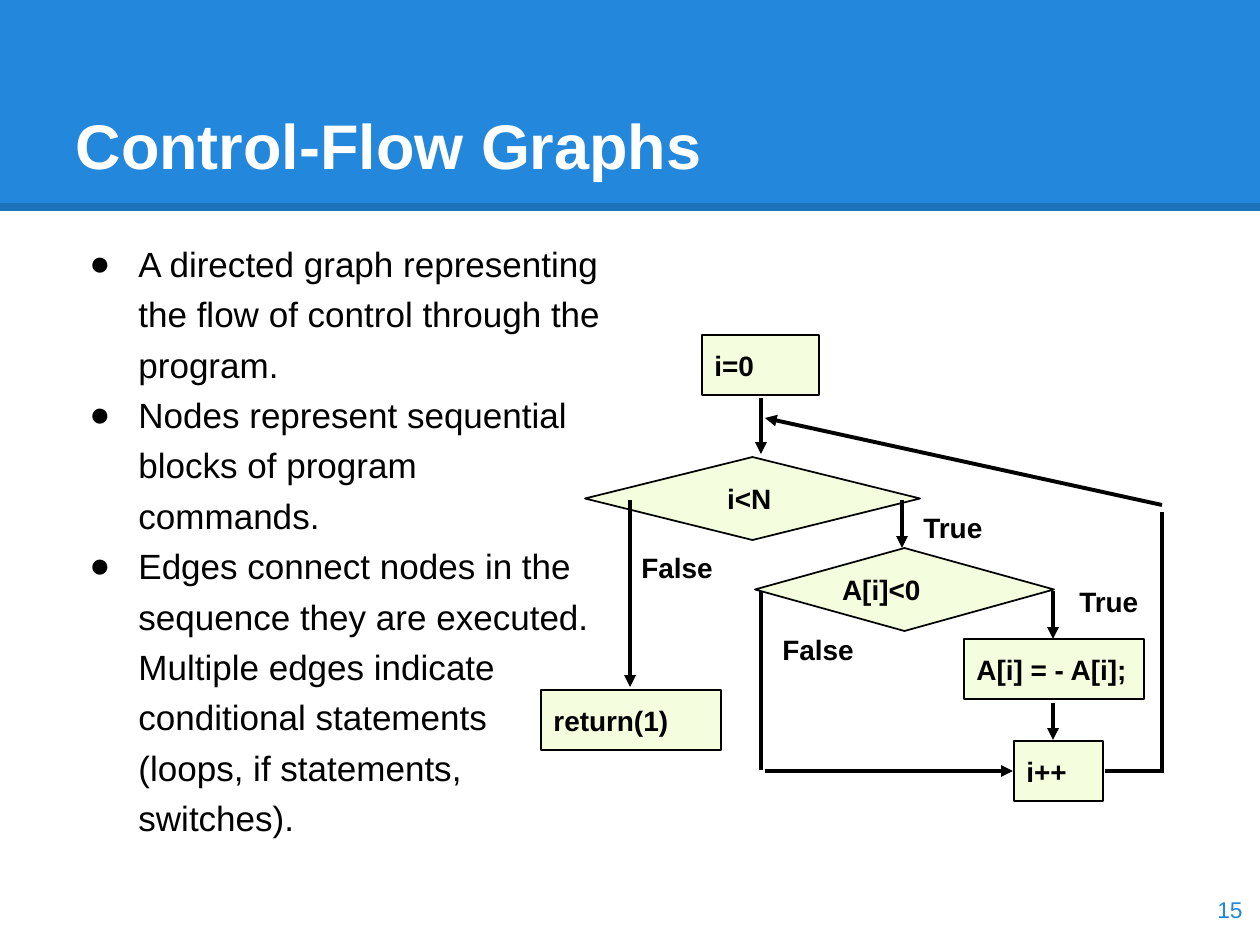
"""Build the control-flow graph slide."""
from dataclasses import dataclass

from lxml.etree import SubElement
from pptx import Presentation
from pptx.dml.color import RGBColor
from pptx.enum.shapes import MSO_CONNECTOR as Connector, MSO_SHAPE as Preset
from pptx.enum.text import MSO_ANCHOR as Anchor, MSO_AUTO_SIZE as AutoSize, PP_ALIGN as Align
from pptx.oxml.ns import qn
from pptx.util import Emu, Pt

BLUE = RGBColor(0x23, 0x88, 0xDB)
PALE = RGBColor(0xF4, 0xFE, 0xDE)
BLACK = RGBColor(0, 0, 0)
WHITE = RGBColor(0xFF, 0xFF, 0xFF)
FONT = "Arial"
EMU_PER_PX = 914400 / 126


@dataclass(frozen=True)
class Box:
    left: int
    top: int
    width: int
    height: int


@dataclass(frozen=True)
class Node:
    text: str
    box: Box
    preset: Preset = Preset.RECTANGLE
    indent: int = 0


@dataclass(frozen=True)
class Edge:
    start: tuple[int, int]
    end: tuple[int, int]
    arrow: bool = True


NODES = [
    Node("i=0", Box(702, 335, 117, 60)),
    Node("i<N", Box(585, 457, 335, 83), Preset.DIAMOND, 46),
    Node("A[i]<0", Box(755, 548, 299, 83), Preset.DIAMOND),
    Node("A[i] = - A[i];", Box(964, 639, 180, 60)),
    Node("return(1)", Box(541, 690, 180, 60)),
    Node("i++", Box(1014, 741, 89, 60)),
]
EDGES = [
    Edge((761, 398), (761, 454)),
    Edge((902, 500), (902, 548)),
    Edge((630, 500), (630, 687)),
    Edge((1053, 591), (1053, 639)),
    Edge((1053, 703), (1053, 740)),
    Edge((761, 591), (761, 770), arrow=False),
    Edge((765, 771), (1013, 771)),
    Edge((1105, 771), (1164, 771), arrow=False),
    Edge((1162, 771), (1162, 512), arrow=False),
    Edge((1162, 505), (765, 418)),
]
LABELS = [
    ("True", Box(911, 504, 117, 44)),
    ("False", Box(629, 544, 117, 44)),
    ("True", Box(1067, 578, 117, 44)),
    ("False", Box(770, 626, 111, 44)),
]
POINTS = [
    "A directed graph representing the flow of control through the program.",
    "Nodes represent sequential blocks of program commands.",
    "Edges connect nodes in the sequence they are executed. "
    "Multiple edges indicate conditional statements (loops, if statements, switches).",
]


def px(value: int) -> Emu:
    """Turn pixels into EMU."""
    return Emu(round(value * EMU_PER_PX))


def place(box: Box) -> tuple[Emu, Emu, Emu, Emu]:
    """Return the box in EMU."""
    return px(box.left), px(box.top), px(box.width), px(box.height)


def set_font(paragraph, size: int, color: RGBColor, bold: bool = False) -> None:
    """Format a whole paragraph."""
    font = paragraph.font
    font.name, font.size, font.bold = FONT, Pt(size), bold
    font.color.rgb = color


def add_text(slide, text: str, box: Box, size: int = 16, color: RGBColor = BLACK, bold: bool = True):
    """Add a wrapping text box with one paragraph."""
    shape = slide.shapes.add_textbox(*place(box))
    frame = shape.text_frame
    frame.word_wrap = True
    frame.text = text
    set_font(frame.paragraphs[0], size, color, bold)
    return frame


def add_shape(slide, preset: Preset, box: Box, fill: RGBColor):
    """Add a flat filled shape without a line."""
    shape = slide.shapes.add_shape(preset, *place(box))
    shape.shadow.inherit = False
    shape.fill.solid()
    shape.fill.fore_color.rgb = fill
    shape.line.fill.background()
    return shape


def add_node(slide, node: Node) -> None:
    """Add one block of the graph."""
    shape = add_shape(slide, node.preset, node.box, PALE)
    shape.line.color.rgb = BLACK
    shape.line.width = Pt(1)
    frame = shape.text_frame
    frame.vertical_anchor = Anchor.MIDDLE
    frame.text = node.text
    paragraph = frame.paragraphs[0]
    paragraph.alignment = Align.LEFT
    if node.indent:
        paragraph._p.get_or_add_pPr().set("marL", str(px(node.indent)))
    set_font(paragraph, 16, BLACK, bold=True)


def add_line(slide, edge: Edge, width: float = 2.25):
    """Add a black line, with an arrowhead where the edge has one."""
    line = slide.shapes.add_connector(Connector.STRAIGHT, *map(px, edge.start + edge.end))
    line.line.color.rgb = BLACK
    line.line.width = Pt(width)
    if edge.arrow:
        SubElement(line.line._get_or_add_ln(), qn("a:tailEnd"), type="triangle")
    SubElement(line._element.spPr, qn("a:effectLst"))
    return line


def add_header(slide) -> None:
    """Add the title on its blue band."""
    add_shape(slide, Preset.RECTANGLE, Box(0, 0, 1260, 211), BLUE)
    rule = add_line(slide, Edge((0, 207), (1260, 207), arrow=False), 4.5)
    color = rule._element.spPr.find(".//" + qn("a:srgbClr"))
    SubElement(color, qn("a:alpha"), val="15000")
    title = slide.shapes.title
    slide.shapes._spTree.append(title._element)
    title.left, title.top, title.width, title.height = place(Box(63, 38, 1134, 157))
    frame = title.text_frame
    frame.text = "Control-Flow Graphs"
    frame.auto_size = AutoSize.NONE
    frame.vertical_anchor = Anchor.BOTTOM
    frame.margin_top = frame.margin_bottom = px(13)
    frame.paragraphs[0].alignment = Align.LEFT
    set_font(frame.paragraphs[0], 36, WHITE, bold=True)


def add_points(slide) -> None:
    """Add the bulleted list."""
    shape = slide.shapes.add_textbox(*place(Box(63, 221, 551, 684)))
    frame = shape.text_frame
    frame.word_wrap = True
    frame.margin_top = frame.margin_bottom = px(13)
    frame.text = "\n".join(POINTS)
    for paragraph in frame.paragraphs:
        properties = paragraph._p.get_or_add_pPr()
        properties.set("marL", str(px(63)))
        properties.set("indent", str(px(-49)))
        color = SubElement(properties, qn("a:buClr"))
        SubElement(color, qn("a:srgbClr"), val=str(BLACK))
        SubElement(properties, qn("a:buFont"), typeface=FONT)
        SubElement(properties, qn("a:buChar"), char="●")
        paragraph.line_spacing = 1.2
        set_font(paragraph, 20, BLACK)


def main() -> None:
    """Build and save the presentation."""
    presentation = Presentation()
    presentation.slide_width, presentation.slide_height = px(1260), px(945)
    slide = presentation.slides.add_slide(presentation.slide_layouts[5])
    add_header(slide)
    add_points(slide)
    for node in NODES:
        add_node(slide, node)
    for edge in EDGES:
        add_line(slide, edge)
    for text, box in LABELS:
        add_text(slide, text, box)
    number = add_text(slide, "15", Box(1179, 873, 76, 72), 13, BLUE, bold=False)
    number.vertical_anchor = Anchor.MIDDLE
    number.paragraphs[0].alignment = Align.RIGHT
    presentation.save("out.pptx")


if __name__ == "__main__":
    main()
